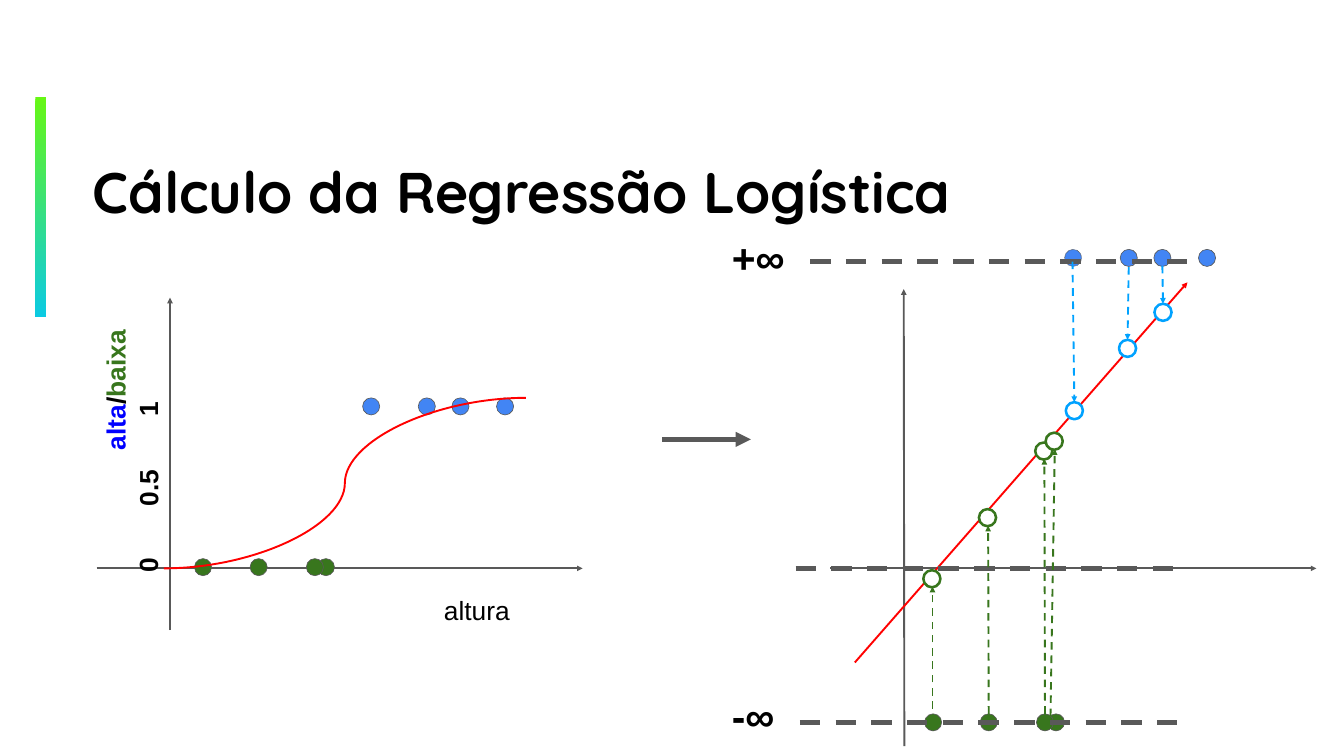
import pptx
import pptx.util
import pptx.dml.color
import pptx.enum.dml
import pptx.enum.shapes
import pptx.enum.text
import lxml.etree
import pptx.oxml.ns

PX = 9144
DOT = 28
GREY, GREEN, BLUE, SKY, RED, BLACK = "595959", "38761D", "4285F4", "00A2FF", "FF0000", "000000"
DASH = pptx.enum.dml.MSO_LINE.DASH
ROUND_DOT = pptx.enum.dml.MSO_LINE.ROUND_DOT

TITLE = "Cálculo da Regressão Logística"
BAR = (58, 158, 18, 361)
BAR_COLORS = ("67F714", "0BCAE3")

AXES = [
    (1479, 1221, 1478, 473),
    (1358, 930, 2153, 930),
    (278, 1031, 278, 487),
    (158, 930, 953, 930),
]
LABELS = [
    ((67, 588, 244, 97), 270, 31, 22, [("alta", "0000FF", True), ("/", BLACK, True), ("baixa", GREEN, True)]),
    ((704, 950, 194, 97), 0, 31, 22, [("altura", BLACK, False)]),
    ((205, 874, 74, 97), 270, 31, 22, [("0", BLACK, True)]),
    ((205, 618, 74, 97), 270, 31, 22, [("1", BLACK, True)]),
    ((177, 736, 131, 97), 270, 31, 22, [("0.5", BLACK, True)]),
    ((1187, 371, 120, 101), 0, 48, 10, [("+∞", BLACK, True)]),
    ((1187, 1120, 120, 101), 0, 48, 10, [("-∞", BLACK, True)]),
]
SHORT_XS = (318, 409, 519, 501)
TALL_XS = (593, 684, 739, 812)
SHORT_SHIFT, TALL_SHIFT = 1194, 1148
SIGMOID = (268, 930, 860, 651)
NEXT_ARROW = (1083, 719, 1228, 719)
LOGIT_LINE = (1398, 1084, 1942, 462)
ZERO_LINE = (1301, 930, 1919, 930)
INFINITY_LINES = [(1308, 1182, 1926, 1182), (1325, 428, 1942, 428)]
TALL_PROJECTIONS = [
    ((1754, 428, 1757, 658), (1743, 658)),
    ((1846, 437, 1844, 556), (1830, 556)),
    ((1901, 435, 1902, 497), (1888, 497)),
]
SHORT_PROJECTIONS = [
    ((1525, 1160, 1525, 960), (1510, 933)),
    ((1617, 1168, 1616, 860), (1601, 833)),
    ((1709, 1168, 1708, 751), (1693, 724)),
    ((1718, 1172, 1725, 735), (1710, 708)),
]


def px(*lengths):
    return [pptx.util.Emu(length * PX) for length in lengths]


def color(value):
    return pptx.dml.color.RGBColor.from_string(value)


def set_insets(frame, inset):
    frame.margin_left = frame.margin_right = frame.margin_top = frame.margin_bottom = px(inset)[0]
    frame.vertical_anchor = pptx.enum.text.MSO_ANCHOR.TOP
    frame.word_wrap = True


def style_span(span, size, face, ink, bold):
    span.font.size = pptx.util.Pt(size)
    span.font.name = face
    span.font.bold = bold
    span.font.color.rgb = color(ink)


def add_line(page, ends, ink, width, dash=None, arrow=False, curved=False):
    kinds = pptx.enum.shapes.MSO_CONNECTOR
    line = page.shapes.add_connector(kinds.CURVE if curved else kinds.STRAIGHT, *px(*ends))
    line.line.color.rgb = color(ink)
    line.line.width = pptx.util.Pt(width)
    if dash:
        line.line.dash_style = dash
    properties = line.element.spPr
    if arrow:
        outline = properties.find(pptx.oxml.ns.qn("a:ln"))
        lxml.etree.SubElement(outline, pptx.oxml.ns.qn("a:tailEnd"), type="triangle")
    lxml.etree.SubElement(properties, pptx.oxml.ns.qn("a:effectLst"))


def add_dot(page, left, top, fill, ink=GREY, width=0.75, dash=None):
    oval = pptx.enum.shapes.MSO_SHAPE.OVAL
    dot = page.shapes.add_shape(oval, *px(left, top, DOT, DOT))
    dot.shadow.inherit = False
    dot.fill.solid()
    dot.fill.fore_color.rgb = color(fill)
    dot.line.color.rgb = color(ink)
    dot.line.width = pptx.util.Pt(width)
    if dash:
        dot.line.dash_style = dash


def add_label(page, place, turn, size, inset, parts):
    box = page.shapes.add_textbox(*px(*place))
    box.rotation = turn
    set_insets(box.text_frame, inset)
    box.text_frame.auto_size = pptx.enum.text.MSO_AUTO_SIZE.SHAPE_TO_FIT_TEXT
    para = box.text_frame.paragraphs[0]
    for text, ink, bold in parts:
        span = para.add_run()
        span.text = text
        style_span(span, size, "Arial", ink, bold)


def add_title(page):
    title = page.shapes.title
    title.left, title.top, title.width, title.height = px(130, 256, 1598, 188)
    frame = title.text_frame
    frame.text = TITLE
    set_insets(frame, 22)
    frame.auto_size = pptx.enum.text.MSO_AUTO_SIZE.NONE
    para = frame.paragraphs[0]
    para.alignment = pptx.enum.text.PP_ALIGN.LEFT
    para.line_spacing = 0.8
    style_span(para.runs[0], 67.5, "Quicksand", BLACK, True)


def add_bar(page):
    bar = page.shapes.add_shape(pptx.enum.shapes.MSO_SHAPE.RECTANGLE, *px(*BAR))
    bar.shadow.inherit = False
    bar.line.fill.background()
    bar.fill.gradient()
    bar.fill.gradient_angle = 270
    for stop, ink in zip(bar.fill.gradient_stops, BAR_COLORS):
        stop.color.rgb = color(ink)


def add_sigmoid_chart(page):
    for left in SHORT_XS:
        add_dot(page, left, 914, GREEN)
    for left in TALL_XS:
        add_dot(page, left, 651, BLUE)
    add_line(page, SIGMOID, RED, 2.25, curved=True)


def add_logit_chart(page):
    add_line(page, LOGIT_LINE, RED, 2.25, arrow=True)
    add_line(page, ZERO_LINE, GREY, 6, DASH)
    for left in TALL_XS:
        dash = ROUND_DOT if left == TALL_XS[0] else None
        add_dot(page, left + TALL_SHIFT, 408, BLUE, dash=dash)
    for left in SHORT_XS:
        add_dot(page, left + SHORT_SHIFT, 1168, GREEN)
    for ends in INFINITY_LINES:
        add_line(page, ends, GREY, 6, DASH)
    for ink, projections in ((SKY, TALL_PROJECTIONS), (GREEN, SHORT_PROJECTIONS)):
        for ends, corner in projections:
            add_line(page, ends, ink, 2.25, DASH, arrow=True)
            add_dot(page, *corner, "FFFFFF", ink, 3)


def main():
    deck = pptx.Presentation()
    deck.slide_width, deck.slide_height = px(2198, 1237)
    page = deck.slides.add_slide(deck.slide_layouts[5])
    add_title(page)
    add_bar(page)
    for ends in AXES:
        add_line(page, ends, GREY, 2.25, arrow=True)
    add_sigmoid_chart(page)
    add_line(page, NEXT_ARROW, GREY, 6, arrow=True)
    add_logit_chart(page)
    for label in LABELS:
        add_label(page, *label)
    deck.save("out.pptx")


if __name__ == "__main__":
    main()
